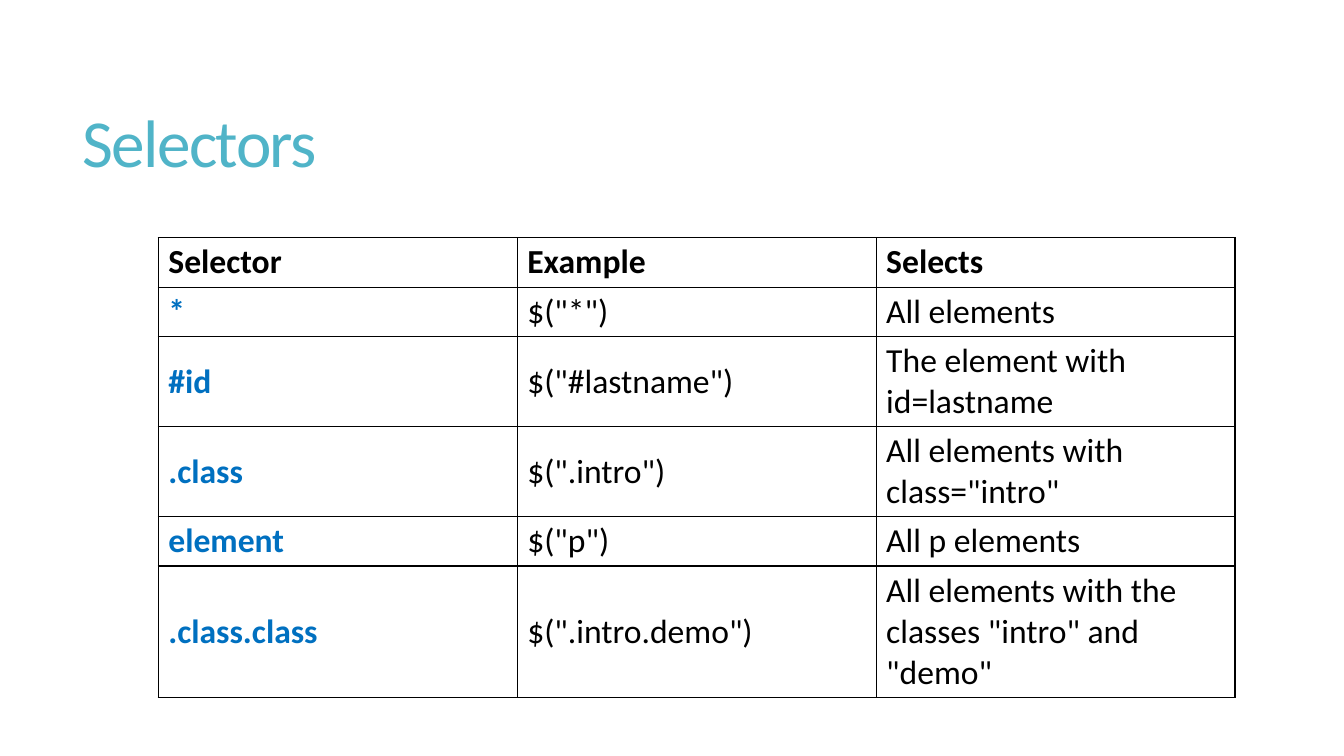
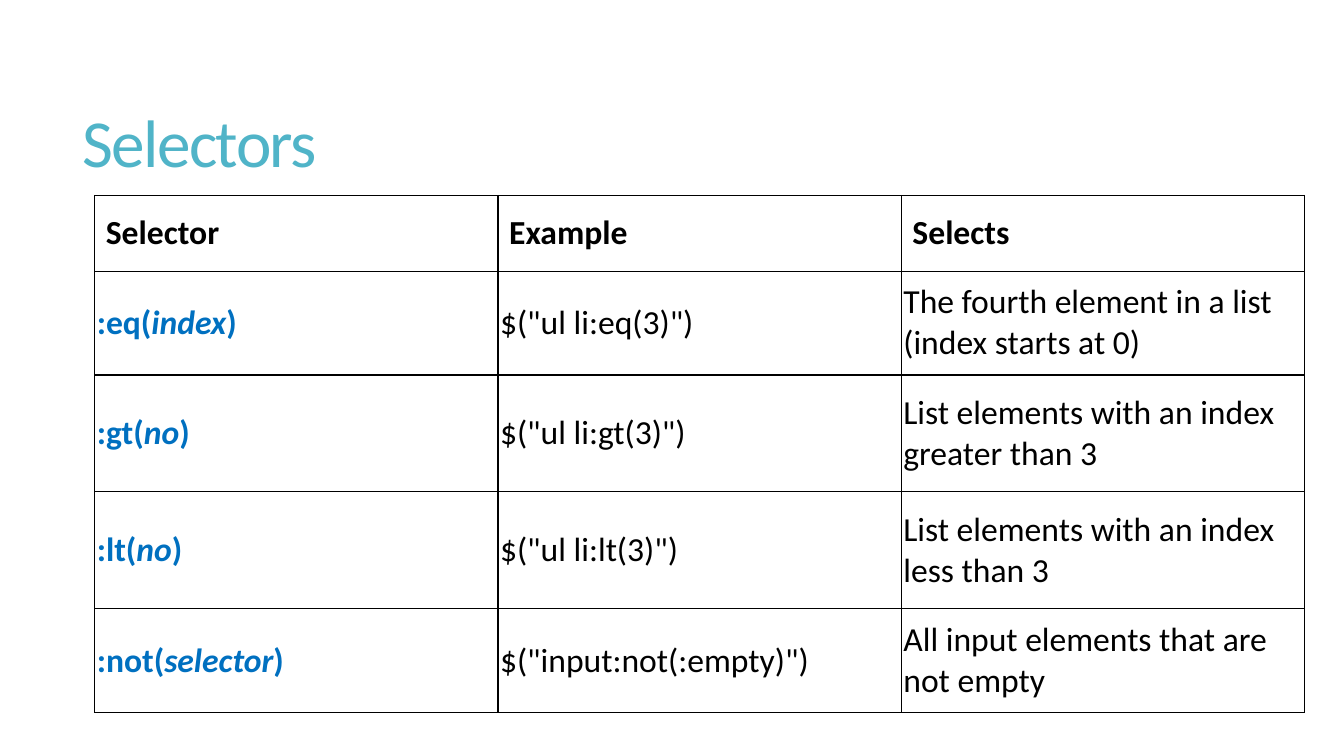
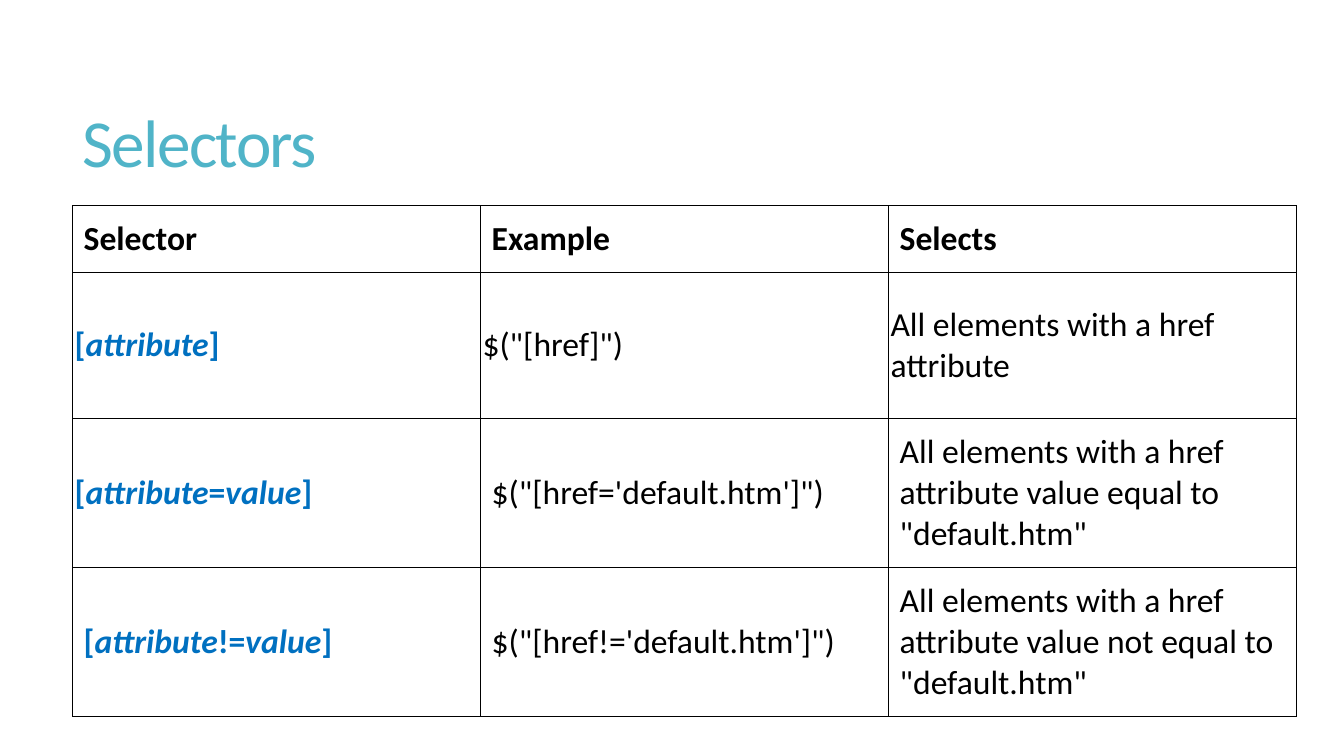
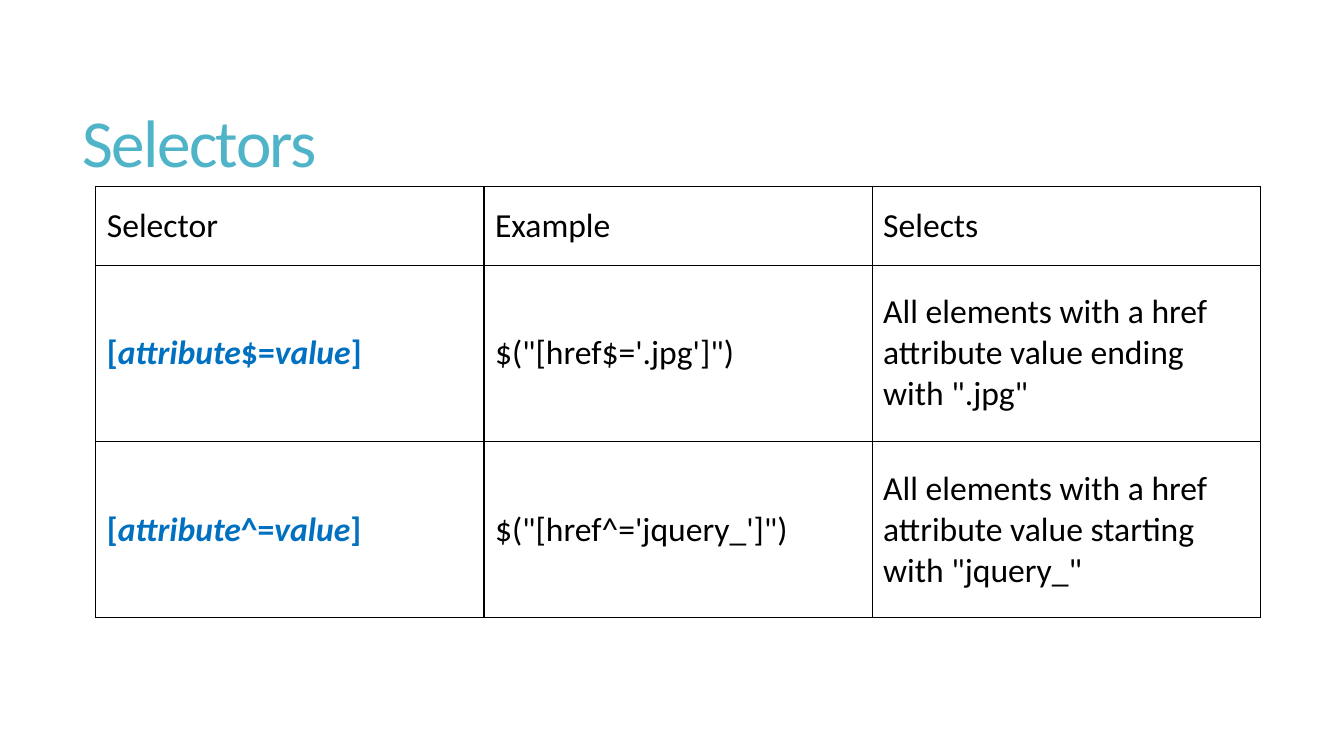
from dataclasses import dataclass

from lxml import etree
from pptx import Presentation
from pptx.dml.color import RGBColor
from pptx.enum.text import MSO_ANCHOR, MSO_AUTO_SIZE, PP_ALIGN
from pptx.oxml.ns import qn
from pptx.util import Inches, Pt

MIDDLE = MSO_ANCHOR.MIDDLE
LEFT = PP_ALIGN.LEFT
NO_AUTOFIT = MSO_AUTO_SIZE.NONE
TITLE_ONLY = 5

# Content: in a selector, every second part between bars is italic
TITLE = "Selectors"
HEADER = ("Selector", "Example", "Selects")
SNUG, NORMAL, TIGHT = (0.1, 0.04), (0.11, 0.05), (0.02, 0.01)

TABLES = [
    dict(at=(1.57, 2.36), width=10.68, bold_header=True, margins=SNUG, tight=(),
         heights=(0.49, 0.49, 0.86, 0.86, 0.49, 1.23),
         rows=[
             ("*", '$("*")', "All elements"),
             ("#id", '$("#lastname")', "The element with id=lastname"),
             (".class", '$(".intro")', 'All elements with class="intro"'),
             ("element", '$("p")', "All p elements"),
             (".class.class", '$(".intro.demo")',
              'All elements with the classes "intro" and "demo"'),
         ]),
    dict(at=(0.94, 1.94), width=12, bold_header=True, margins=NORMAL,
         tight=[(row, col) for row in range(1, 5) for col in range(3)],
         heights=(0.75, 1.03, 1.16, 1.16, 1.03),
         rows=[
             (":eq(|index|)", '$("ul li:eq(3)")',
              "The fourth element in a list (index starts at 0)"),
             (":gt(|no|)", '$("ul li:gt(3)")',
              "List elements with an index greater than 3"),
             (":lt(|no|)", '$("ul li:lt(3)")',
              "List elements with an index less than 3"),
             (":not(|selector|)", '$("input:not(:empty)")',
              "All input elements that are not empty"),
         ]),
    dict(at=(0.72, 2.04), width=12.14, bold_header=True, margins=NORMAL,
         tight=[(1, 0), (1, 1), (1, 2), (2, 0)],
         heights=(0.66, 1.45, 1.48, 1.48),
         rows=[
             ("[|attribute|]", '$("[href]")', "All elements with a href attribute"),
             ("[|attribute|=|value|]", "$(\"[href='default.htm']\")",
              'All elements with a href attribute value equal to "default.htm"'),
             ("[|attribute|!=|value|]", "$(\"[href!='default.htm']\")",
              'All elements with a href attribute value not equal to "default.htm"'),
         ]),
    dict(at=(0.95, 1.85), width=11.55, bold_header=False, margins=NORMAL, tight=(),
         heights=(0.78, 1.75, 1.75),
         rows=[
             ("[|attribute|$=|value|]", "$(\"[href$='.jpg']\")",
              'All elements with a href attribute value ending with ".jpg"'),
             ("[|attribute|^=|value|]", "$(\"[href^='jquery_']\")",
              'All elements with a href attribute value starting with "jquery_"'),
         ]),
]


@dataclass(frozen=True)
class Theme:
    font: str = "Calibri"
    title: str = "50B4C8"
    text: str = "000000"
    selector: str = "0070C0"
    border: str = "000000"
    title_size: int = 48
    text_size: int = 24
    border_width: int = 1


THEME = Theme()


def style_run(r, size, color, bold=False, italic=False):
    r.font.name = THEME.font
    r.font.size = Pt(size)
    r.font.color.rgb = RGBColor.from_string(color)
    r.font.bold = bold
    r.font.italic = italic


def add_title(s):
    sp = s.shapes.title
    sp.left, sp.top = Inches(0.72), Inches(0.55)
    sp.width, sp.height = Inches(11.78), Inches(1.81)
    tf = sp.text_frame
    tf.text = TITLE
    tf.auto_size = NO_AUTOFIT
    tf.vertical_anchor = MIDDLE
    p = tf.paragraphs[0]
    p.alignment = LEFT
    p.line_spacing = 0.85
    r = p.runs[0]
    style_run(r, THEME.title_size, THEME.title)
    r.font._element.set("spc", "-120")


def add_borders(cell):
    props = cell._tc.get_or_add_tcPr()
    for side in ("lnL", "lnR", "lnT", "lnB"):
        line = etree.SubElement(props, qn("a:" + side), w=str(Pt(THEME.border_width)))
        fill = etree.SubElement(line, qn("a:solidFill"))
        etree.SubElement(fill, qn("a:srgbClr"), val=THEME.border)


def fill_cell(cell, text, margins, color, bold):
    add_borders(cell)
    cell.fill.background()
    cell.vertical_anchor = MIDDLE
    cell.margin_left = cell.margin_right = Inches(margins[0])
    cell.margin_top = cell.margin_bottom = Inches(margins[1])
    p = cell.text_frame.paragraphs[0]
    for i, part in enumerate(text.split("|")):
        r = p.add_run()
        r.text = part
        style_run(r, THEME.text_size, color, bold, italic=i % 2 == 1)


def add_selector_table(s, spec_table):
    heights = spec_table["heights"]
    left, top = spec_table["at"]
    table = s.shapes.add_table(
        len(heights), len(HEADER), Inches(left), Inches(top),
        Inches(spec_table["width"]), Inches(sum(heights))).table
    table.first_row = table.horz_banding = False
    for row, height in zip(table.rows, heights):
        row.height = Inches(height)
    for i, texts in enumerate([HEADER] + spec_table["rows"]):
        for j, text in enumerate(texts):
            is_selector = i > 0 and j == 0
            fill_cell(
                table.cell(i, j), text,
                margins=TIGHT if (i, j) in spec_table["tight"] else spec_table["margins"],
                color=THEME.selector if is_selector else THEME.text,
                bold=is_selector or (i == 0 and spec_table["bold_header"]))


# Build the slides
prs = Presentation()
prs.slide_width, prs.slide_height = Inches(13.33), Inches(7.5)
for selector_table in TABLES:
    s = prs.slides.add_slide(prs.slide_layouts[TITLE_ONLY])
    add_title(s)
    add_selector_table(s, selector_table)
prs.save("out.pptx")
